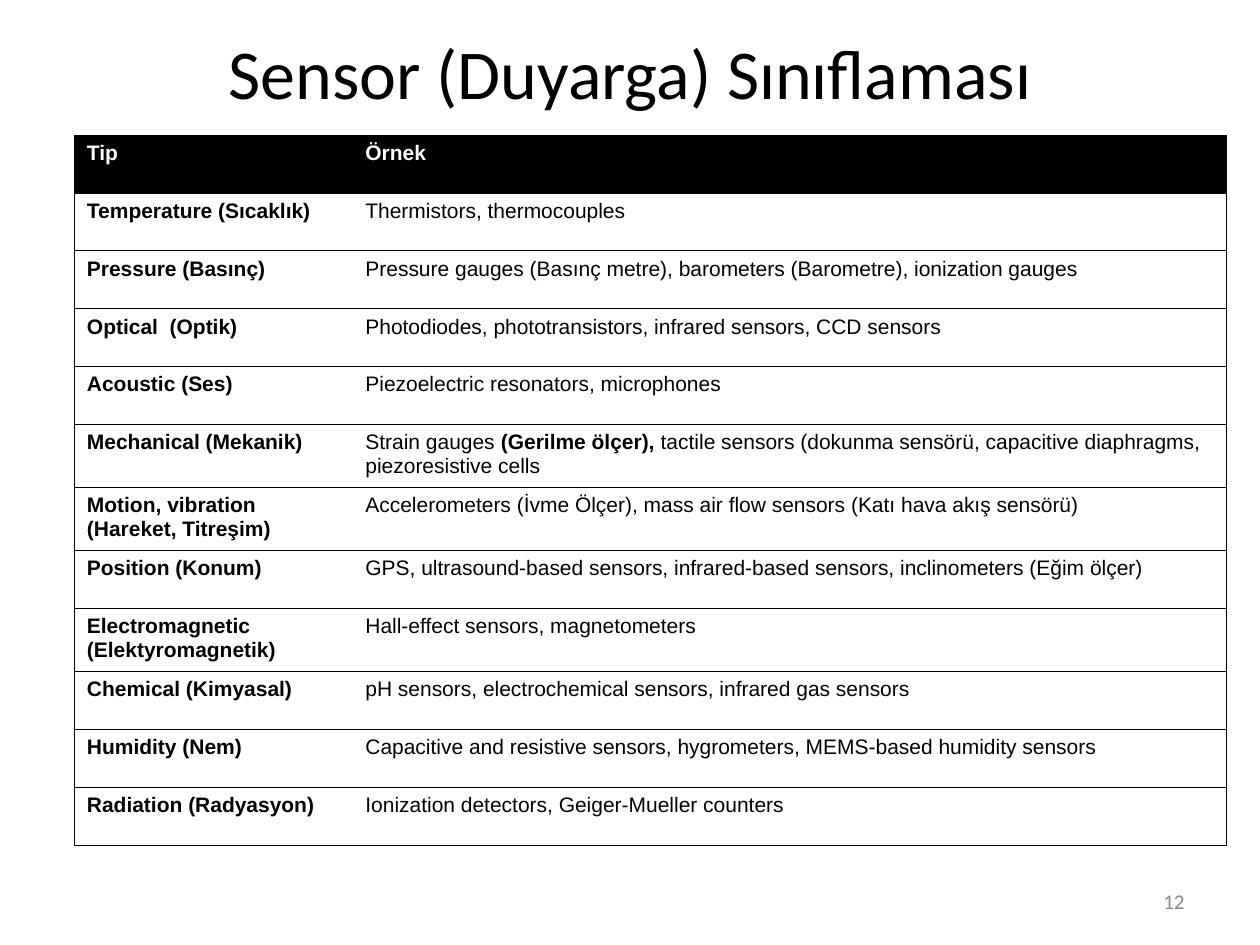
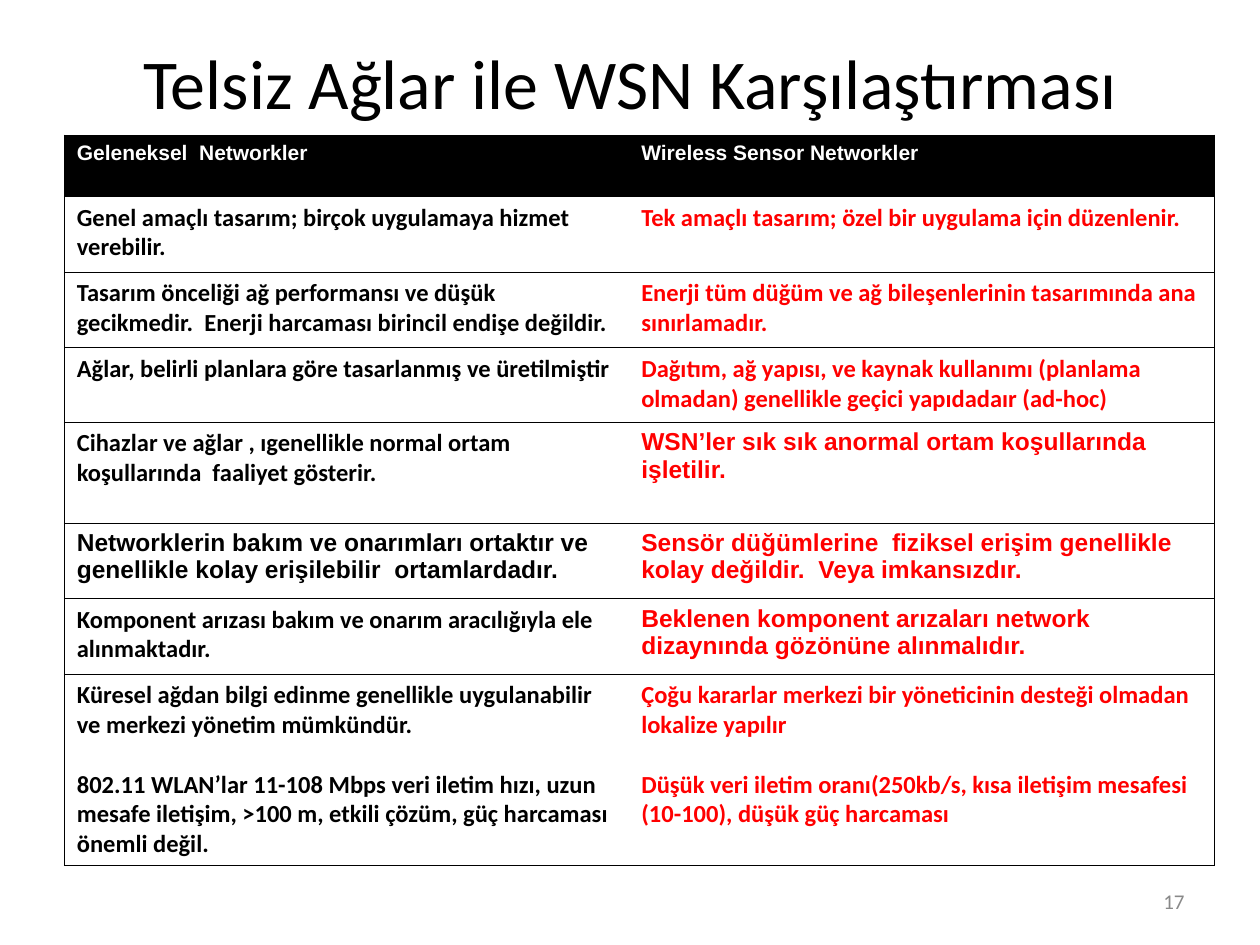
from lxml.etree import SubElement
from pptx import Presentation
from pptx.dml.color import RGBColor
from pptx.enum.text import MSO_ANCHOR, MSO_AUTO_SIZE, PP_ALIGN
from pptx.oxml import parse_xml
from pptx.oxml.ns import nsdecls, qn
from pptx.util import Inches, Pt

BLACK, WHITE, RED, GREY = "000000", "FFFFFF", "FF0000", "898989"
TABLE_TOP = 1.07
BORDER_WIDTH = Pt(0.34)
PARAGRAPH_GAP = 17
HEADER_STYLE = {"font": "Arial", "size": 12, "color": WHITE, "bold": True}

SENSOR_TYPES = [
    ("Tip", "Örnek"),
    ("Temperature (Sıcaklık)", "Thermistors, thermocouples"),
    ("Pressure (Basınç)",
     "Pressure gauges (Basınç metre), barometers (Barometre), ionization gauges"),
    ("Optical  (Optik)", "Photodiodes, phototransistors, infrared sensors, CCD sensors"),
    ("Acoustic (Ses)", "Piezoelectric resonators, microphones"),
    ("Mechanical (Mekanik)",
     "Strain gauges |(Gerilme ölçer), |tactile sensors (dokunma sensörü, "
     "capacitive diaphragms, piezoresistive cells"),
    ("Motion, vibration (Hareket, Titreşim)",
     "Accelerometers (İvme Ölçer), mass air flow sensors (Katı hava akış sensörü)"),
    ("Position (Konum)",
     "GPS, ultrasound-based sensors, infrared-based sensors, inclinometers (Eğim ölçer)"),
    ("Electromagnetic (Elektyromagnetik)", "Hall-effect sensors, magnetometers"),
    ("Chemical (Kimyasal)", "pH sensors, electrochemical sensors, infrared gas sensors"),
    ("Humidity (Nem)",
     "Capacitive and resistive sensors, hygrometers, MEMS-based humidity sensors"),
    ("Radiation (Radyasyon)", "Ionization detectors, Geiger-Mueller counters"),
]

NETWORK_COMPARISON = [
    ("Geleneksel  Networkler", "Wireless Sensor Networkler"),
    ("Genel amaçlı tasarım; birçok uygulamaya hizmet verebilir.",
     "Tek amaçlı tasarım; özel bir uygulama için düzenlenir."),
    ("Tasarım önceliği ağ performansı ve düşük gecikmedir.  "
     "Enerji harcaması birincil endişe değildir.",
     "Enerji tüm düğüm ve ağ bileşenlerinin tasarımında ana sınırlamadır."),
    ("Ağlar, belirli planlara göre tasarlanmış ve üretilmiştir",
     "Dağıtım, ağ yapısı, ve kaynak kullanımı (planlama olmadan) "
     "genellikle geçici yapıdadaır (ad-hoc)"),
    ("Cihazlar ve ağlar , ıgenellikle normal ortam koşullarında  faaliyet gösterir.",
     "WSN’ler sık sık anormal ortam koşullarında işletilir."),
    ("Networklerin bakım ve onarımları ortaktır ve genellikle kolay "
     "erişilebilir  ortamlardadır.",
     "Sensör düğümlerine  fiziksel erişim genellikle  kolay değildir.  Veya imkansızdır."),
    ("Komponent arızası bakım ve onarım aracılığıyla ele alınmaktadır.",
     "Beklenen komponent arızaları network dizaynında gözönüne alınmalıdır."),
    ("Küresel ağdan bilgi edinme genellikle uygulanabilir ve merkezi yönetim mümkündür.\n"
     "802.11 WLAN’lar 11-108 Mbps veri iletim hızı, uzun mesafe iletişim, >100 m, "
     "etkili çözüm, güç harcaması önemli değil.",
     "Çoğu kararlar merkezi bir yöneticinin desteği olmadan lokalize yapılır\n"
     "Düşük veri iletim oranı(250kb/s, kısa iletişim mesafesi (10-100), düşük güç harcaması"),
]

SLIDES = [
    {"title": "Sensor (Duyarga) Sınıflaması", "title_height": 0.54, "number": "12",
     "left": 0.59, "widths": [2.21, 6.93], "rows": SENSOR_TYPES,
     "heights": [0.46] * 5 + [0.5, 0.5, 0.46, 0.5] + [0.46] * 3,
     "columns": [{"font": "Arial", "size": 12, "color": BLACK, "bold": True},
                 {"font": "Arial", "size": 12, "color": BLACK, "bold": False}],
     "arial_cells": set()},
    {"title": "Telsiz Ağlar ile WSN Karşılaştırması", "title_height": 0.69, "number": "17",
     "left": 0.51, "widths": [4.48, 4.65], "rows": NETWORK_COMPARISON,
     "heights": [0.49, 0.6, 0.6, 0.59, 0.8, 0.6, 0.6, 1.5],
     "columns": [{"font": "Calibri", "size": 14, "color": BLACK, "bold": True},
                 {"font": "Calibri", "size": 14, "color": RED, "bold": True}],
     "arial_cells": {(4, 1), (5, 0), (5, 1), (6, 1)}},
]


def rgb(color):
    return RGBColor.from_string(color)


def style_font(target, font, size, color, bold=False):
    target.font.name = font
    target.font.size = Pt(size)
    target.font.color.rgb = rgb(color)
    target.font.bold = bold


def add_title(slide, text, height):
    title = slide.shapes.title
    title.left, title.top = Inches(0.5), Inches(0.3)
    title.width, title.height = Inches(9), Inches(height)
    frame = title.text_frame
    frame.text = text
    frame.auto_size = MSO_AUTO_SIZE.NONE
    frame.vertical_anchor = MSO_ANCHOR.MIDDLE
    frame.paragraphs[0].alignment = PP_ALIGN.CENTER
    style_font(frame.paragraphs[0].runs[0], "Calibri", 40, BLACK)


def add_slide_number(slide, number):
    box = slide.shapes.add_textbox(Inches(7.17), Inches(6.95), Inches(2.33), Inches(0.4))
    frame = box.text_frame
    frame.word_wrap = True
    frame.vertical_anchor = MSO_ANCHOR.MIDDLE
    frame.text = number
    frame.paragraphs[0].alignment = PP_ALIGN.RIGHT
    style_font(frame.paragraphs[0].runs[0], "Calibri", 12, GREY)


def set_borders(cell, visible_sides):
    properties = cell._tc.get_or_add_tcPr()
    for index, side in enumerate("LRTB"):
        line = parse_xml(f'<a:ln{side} {nsdecls("a")} w="{BORDER_WIDTH}"/>')
        if side in visible_sides:
            fill = SubElement(line, qn("a:solidFill"))
            SubElement(fill, qn("a:srgbClr"), val=BLACK)
        else:
            SubElement(line, qn("a:noFill"))
        properties.insert(index, line)


def write_cell(cell, text, style):
    """Write a cell, with lines as paragraphs and bars around runs of opposite weight."""
    frame = cell.text_frame
    for index, line in enumerate(text.split("\n")):
        paragraph = frame.add_paragraph() if index else frame.paragraphs[0]
        if index:
            paragraph.space_before = Pt(PARAGRAPH_GAP)
        for position, part in enumerate(line.split("|")):
            run = paragraph.add_run()
            run.text = part
            style_font(run, **style)
            if position % 2:
                run.font.bold = not style["bold"]


def add_grid(slide, content):
    rows, widths, heights = content["rows"], content["widths"], content["heights"]
    table = slide.shapes.add_table(
        len(rows), len(widths), Inches(content["left"]), Inches(TABLE_TOP),
        Inches(sum(widths)), Inches(sum(heights))).table
    table.first_row = table.horz_banding = False
    for column, width in zip(table.columns, widths):
        column.width = Inches(width)
    for row, height in zip(table.rows, heights):
        row.height = Inches(height)
    for row_index, texts in enumerate(rows):
        for column_index, text in enumerate(texts):
            cell = table.cell(row_index, column_index)
            style = content["columns"][column_index]
            if row_index == 0:
                style = HEADER_STYLE
                cell.fill.solid()
                cell.fill.fore_color.rgb = rgb(BLACK)
            else:
                cell.fill.background()
            if (row_index, column_index) in content["arial_cells"]:
                style = {**style, "font": "Arial"}
            write_cell(cell, text, style)
            set_borders(cell, "TB" + "LR"[column_index])


def main():
    presentation = Presentation()
    presentation.slide_width, presentation.slide_height = Inches(10), Inches(7.5)
    title_only = presentation.slide_layouts.get_by_name("Title Only")
    for content in SLIDES:
        slide = presentation.slides.add_slide(title_only)
        add_title(slide, content["title"], content["title_height"])
        add_grid(slide, content)
        add_slide_number(slide, content["number"])
    presentation.save("out.pptx")


if __name__ == "__main__":
    main()
